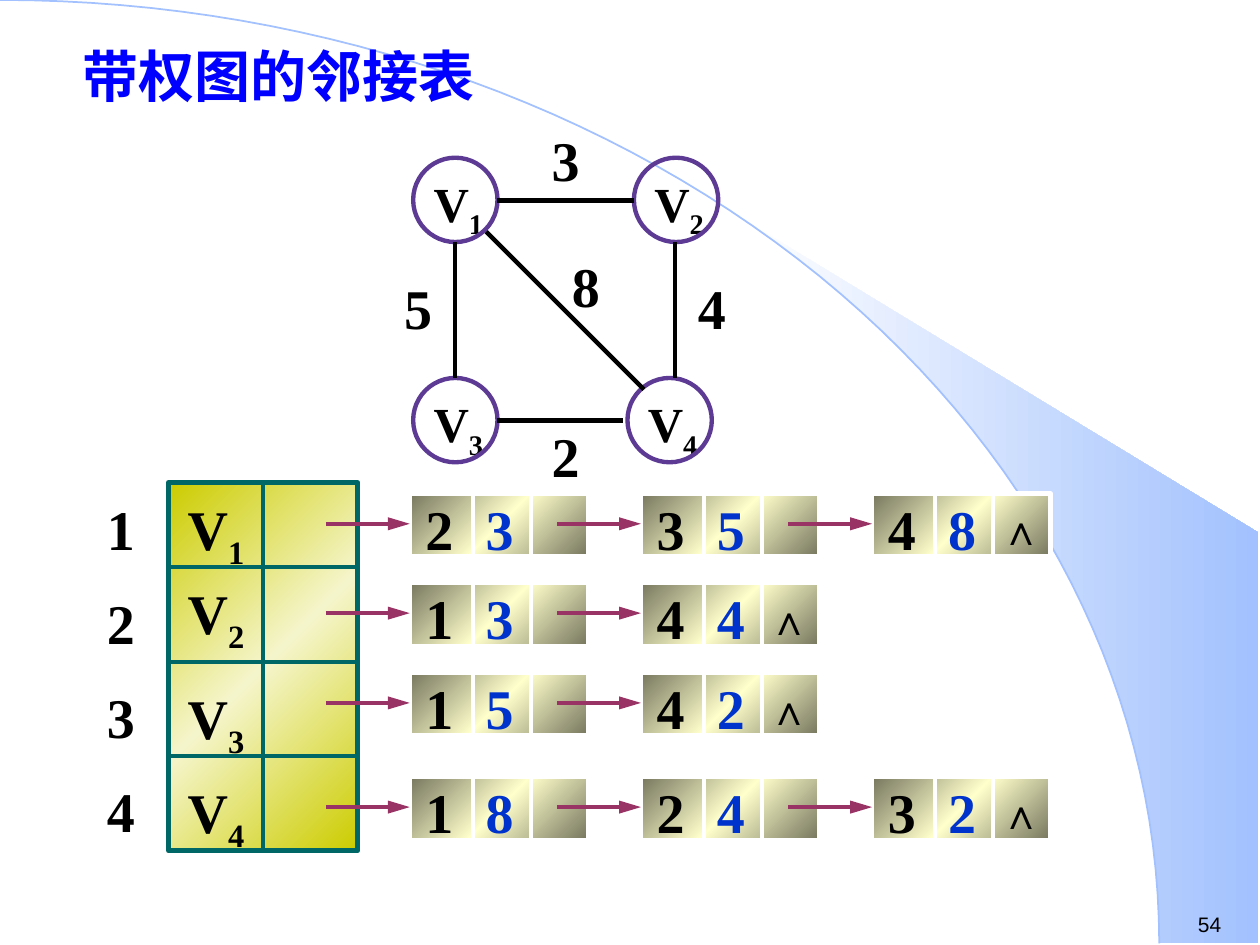
import math

import lxml.etree
import pptx
import pptx.dml.color
import pptx.enum.shapes
import pptx.enum.text
import pptx.oxml
import pptx.oxml.ns
import pptx.util

Cm = pptx.util.Cm
Pt = pptx.util.Pt
qn = pptx.oxml.ns.qn
ALIGN = pptx.enum.text.PP_ALIGN
SHAPE = pptx.enum.shapes.MSO_SHAPE

COLORS = {
    "black": "000000", "white": "FFFFFF", "title": "0000FF", "weight": "0033CC",
    "vertex": "5D3B95", "table": "006666", "arrow": "993366", "sky": "A2C1FE",
    "olive": "CCCC00", "cream": "F5F5CC", "khaki": "76765E", "ivory": "FFFFCC",
}


class SlideWriter:
    """Holds the style and the current slide; all lengths are centimetres."""

    font_name = "Times New Roman"

    def __init__(self, slide):
        self.slide = slide

    def color(self, name):
        return pptx.dml.color.RGBColor.from_string(COLORS[name])

    def style_font(self, font, size, color, bold=True, name=None):
        font.name = name or self.font_name
        font.size = Pt(size)
        font.bold = bold
        font.color.rgb = self.color(color)

    def title(self, text, left, top, width, height):
        shape = self.slide.shapes.title
        shape.left, shape.top, shape.width, shape.height = map(Cm, (left, top, width, height))
        frame = shape.text_frame
        frame.text = text
        frame.auto_size = pptx.enum.text.MSO_AUTO_SIZE.NONE
        frame.vertical_anchor = pptx.enum.text.MSO_ANCHOR.MIDDLE
        frame.paragraphs[0].alignment = ALIGN.LEFT
        self.style_font(frame.paragraphs[0].font, 32, "title")

    def text(self, text, left, top, width, height, size=32, color="black", subscript="",
             align=ALIGN.CENTER, inset=0.25, top_inset=0.23, bold=True, name=None):
        box = self.slide.shapes.add_textbox(Cm(left), Cm(top), Cm(width), Cm(height))
        frame = box.text_frame
        frame.word_wrap = True
        frame.margin_left = frame.margin_right = Cm(inset)
        frame.margin_top, frame.margin_bottom = Cm(top_inset), Cm(0)
        paragraph = frame.paragraphs[0]
        paragraph.alignment = align
        self.style_font(paragraph.font, size, color, bold, name)
        paragraph.add_run().text = text
        if subscript:
            run = paragraph.add_run()
            run.text = subscript
            run.font._element.set("baseline", "-25000")

    def gradient(self, shape, names, angle):
        """Fill with evenly spaced colours, the angle running clockwise."""
        shape.fill.gradient()
        fill = shape._element.spPr.find(qn("a:gradFill"))
        stops = fill.find(qn("a:gsLst"))
        for stop in list(stops):
            stops.remove(stop)
        for index, name in enumerate(names):
            position = str(index * 100000 // (len(names) - 1))
            stop = lxml.etree.SubElement(stops, qn("a:gs"), pos=position)
            lxml.etree.SubElement(stop, qn("a:srgbClr"), val=COLORS[name])
        shape.fill.gradient_angle = (360 - angle) % 360

    def finish(self, shape, line, width, gradient, angle=45):
        shape.shadow.inherit = False
        if gradient:
            self.gradient(shape, gradient, angle)
        else:
            shape.fill.background()
        if line:
            shape.line.color.rgb = self.color(line)
            shape.line.width = Pt(width)
        else:
            shape.line.fill.background()

    def shape(self, kind, left, top, width, height, line, line_width=2.5, gradient=None):
        shape = self.slide.shapes.add_shape(kind, Cm(left), Cm(top), Cm(width), Cm(height))
        self.finish(shape, line, line_width, gradient)

    def backdrop(self, points, close, line=None, gradient=None):
        """Draw an outline behind everything else."""
        points = [(Cm(x), Cm(y)) for x, y in points]
        builder = self.slide.shapes.build_freeform(*points[0])
        builder.add_line_segments(points[1:], close=close)
        shape = builder.convert_to_shape()
        self.finish(shape, line, 1, gradient, 0)
        self.slide.shapes._spTree.insert(2, shape._element)

    def line(self, x1, y1, x2, y2, color="black", width=2.5, arrow=False):
        connector = self.slide.shapes.add_connector(
            pptx.enum.shapes.MSO_CONNECTOR.STRAIGHT, Cm(x1), Cm(y1), Cm(x2), Cm(y2))
        connector.line.color.rgb = self.color(color)
        connector.line.width = Pt(width)
        if arrow:
            lxml.etree.SubElement(connector.line._get_or_add_ln(), qn("a:tailEnd"),
                                  type="triangle", w="med", len="lg")
        lxml.etree.SubElement(connector._element.spPr, qn("a:effectLst"))

    def vertex(self, number, left, top):
        self.text("V", left + 0.41, top + 0.22, 1.27, 1.52, size=28, subscript=number,
                  align=ALIGN.LEFT, inset=0, top_inset=0.1)
        self.shape(SHAPE.OVAL, left, top, 1.7, 1.7, "vertex")

    def list_node(self, left, top, key, weight, last):
        self.shape(SHAPE.RECTANGLE, left, top, 3.6, 1.27, "white",
                   gradient=("khaki", "ivory", "khaki"))
        for offset in (1.27, 2.44):
            self.line(left + offset, top - 0.02, left + offset, top + 1.25, "white")
        self.text(key, left, top - 0.21, 1.2, 1.6)
        self.text(weight, left + 1.18, top - 0.21, 1.27, 1.6, color="weight")
        if last:
            self.text("∧", left + 2.33, top - 0.02, 1.37, 1.27, size=24, align=ALIGN.LEFT)


def arc(start):
    """Points of the quarter ellipse from the start angle to its foot."""
    steps = 60
    angles = [start + (math.pi / 2 - start) * step / steps for step in range(steps + 1)]
    return [(23.37 * math.sin(angle), 19.02 * (1 - math.cos(angle))) for angle in angles]


def draw_graph(writer):
    vertices = {"1": (8.33, 3.18), "2": (12.78, 3.18), "3": (8.33, 7.62), "4": (12.65, 7.62)}
    for number, position in vertices.items():
        writer.vertex(number, *position)
    # Each edge: its ends, its weight and the place of the weight.
    edges = [
        ((10.01, 4.04, 12.78, 4.04), "3", (10.87, 2.31)),
        ((13.61, 4.88, 13.61, 7.62), "4", (13.82, 5.28)),
        ((10.01, 8.48, 12.55, 8.48), "2", (10.87, 8.26)),
        ((9.17, 4.88, 9.17, 7.62), "5", (7.9, 5.28)),
        ((9.8, 4.67, 12.98, 7.85), "8", (11.28, 4.85)),
    ]
    for ends, weight, position in edges:
        writer.line(*ends)
        writer.text(weight, *position, 1.07, 1.6, align=ALIGN.LEFT)


def draw_vertex_array(writer):
    left, top, width, height = 3.4, 9.73, 3.81, 7.42
    writer.shape(SHAPE.RECTANGLE, left, top, width, height, "table", 3,
                 ("olive", "cream", "olive"))
    for y in (11.43, 13.34, 15.24):
        writer.line(left, y, left + width, y, "table", 2.25)
    writer.line(left + width / 2, top, left + width / 2, top + height, "table", 2.25)
    for index, label_top in enumerate((9.73, 11.43, 13.54, 15.44)):
        number = str(index + 1)
        writer.text("V", left, label_top, width / 2, 1.6, subscript=number)
        writer.text(number, 1.7, top + 1.9 * index, 1.47, 1.6)


def draw_adjacency_lists(writer):
    # Each pair is a neighbour and the weight of the edge to it.
    lists = [
        (9.95, ["23", "35", "48"]),
        (11.75, ["13", "44"]),
        (13.56, ["15", "42"]),
        (15.66, ["18", "24", "32"]),
    ]
    for top, nodes in lists:
        lefts = [8.26 + 4.66 * column for column in range(len(nodes))]
        for left, (key, weight) in zip(lefts, nodes):
            writer.list_node(left, top, key, weight, left == lefts[-1])
        for left in lefts:
            writer.line(left - 1.69, top + 0.61, left, top + 0.61, "arrow", arrow=True)


def main():
    presentation = pptx.Presentation()
    presentation.slide_width, presentation.slide_height = Cm(25.4), Cm(19.05)
    writer = SlideWriter(presentation.slides.add_slide(presentation.slide_layouts[5]))
    writer.backdrop(arc(0), False, line="sky")
    writer.backdrop(arc(0.695) + [(25.37, 19.02), (25.37, 10.74)], True,
                    gradient=("white", "sky"))
    writer.title("带权图的邻接表", 1.4, 0.71, 10.21, 1.6)
    draw_graph(writer)
    draw_vertex_array(writer)
    draw_adjacency_lists(writer)
    writer.text("54", 23.9, 18.24, 1.5, 0.76, size=12, align=ALIGN.LEFT, top_inset=0.13,
                bold=False, name="Arial")
    presentation.save("out.pptx")


if __name__ == "__main__":
    main()
